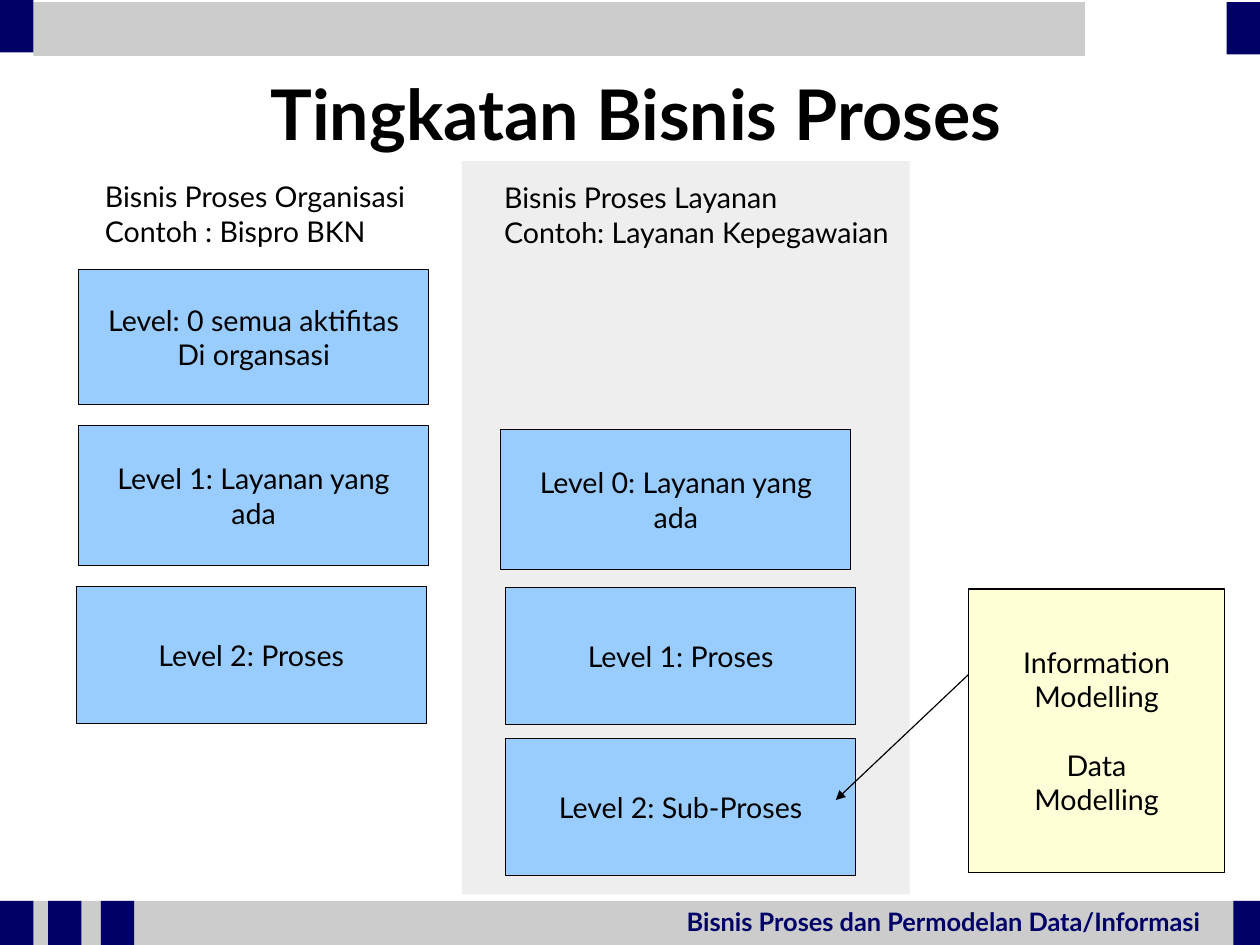
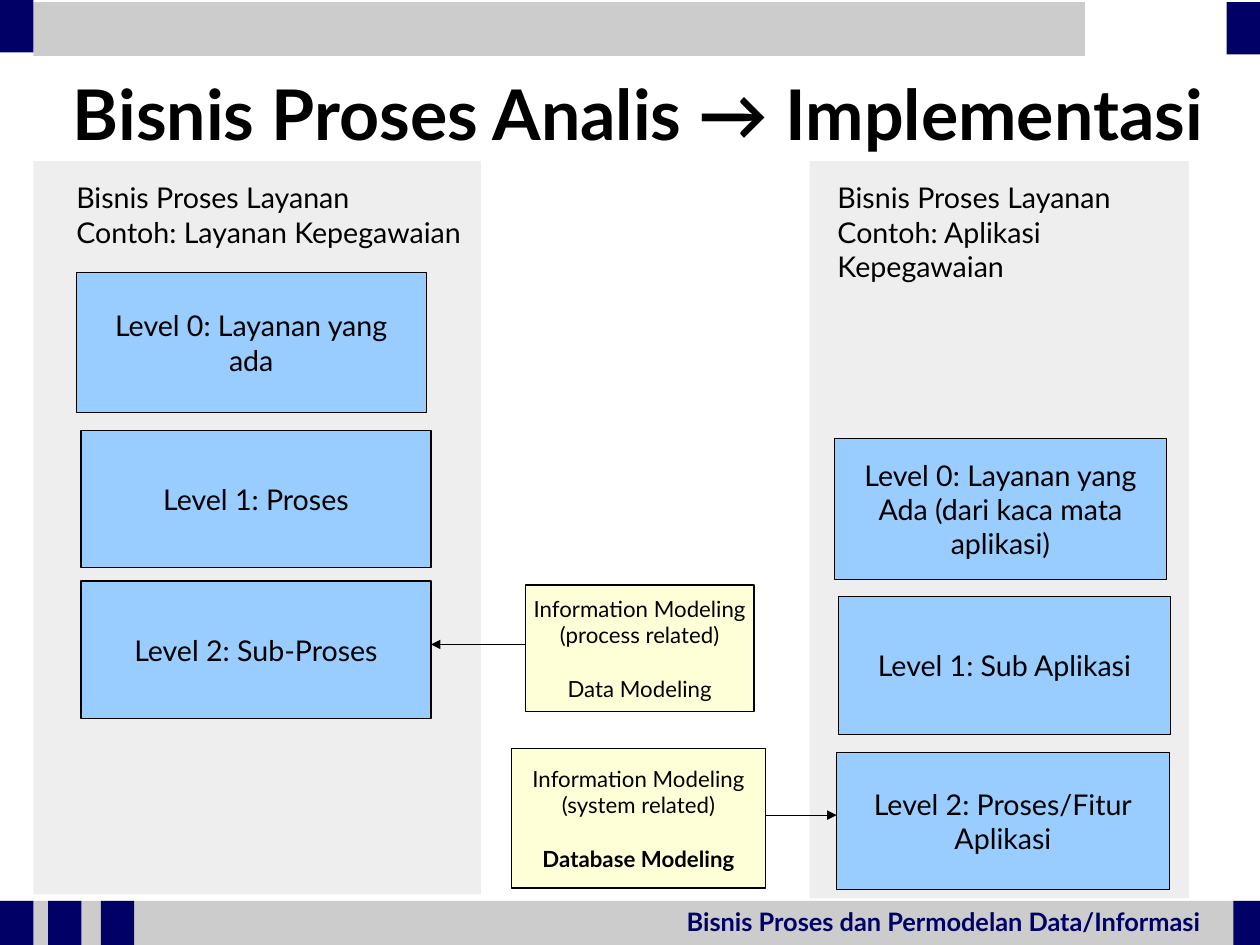
"""Builds two slides on business process levels and their modelling."""
from lxml import etree
from pptx import Presentation
from pptx.dml.color import RGBColor
from pptx.enum import shapes as kinds, text as txt
from pptx.oxml import ns
from pptx.util import Pt

FONT = "Lato"
WIDTH, HEIGHT = 793.7, 595.3
COLORS = dict(band="CCCCCC", navy="000066", panel="EEEEEE", level="99CCFF",
              note="FFFFD7", ink="000000")
FOOTER = "Bisnis Proses dan Permodelan Data/Informasi"
BAND_TOP, BAND_HEIGHT = 567.5, 27.8
BLOCKS = [
    ("band", (0, BAND_TOP, WIDTH, BAND_HEIGHT)),
    ("navy", (777, BAND_TOP, WIDTH - 777, BAND_HEIGHT)),
    *[("navy", (left, BAND_TOP, 21, BAND_HEIGHT)) for left in (0, 30.3, 63.5)],
    ("band", (21, 1.3, 662.5, 34)),
    ("navy", (WIDTH - 21, 1.3, 21, 33)),
    ("navy", (0, 0, 21, 33)),
]

ORGANISATION_LEVELS = [
    (0, 0, 85, ["Level: 0 semua aktifitas", "Di organsasi"]),
    (0, 98, 88.5, ["Level 1: Layanan yang", "ada"]),
    (-1.5, 199.5, 86.5, ["Level 2: Proses"]),
]
SERVICE_LEVELS = [
    (0, 0, 88.5, ["Level 0: Layanan yang", "ada"]),
    (3, 99.5, 86.5, ["Level 1: Proses"]),
    (3, 194.5, 86.5, ["Level 2: Sub-Proses"]),
]
APPLICATION_LEVELS = [
    (0, 0, 88.5, ["Level 0: Layanan yang", "Ada (dari kaca mata", "aplikasi)"]),
    (2.5, 99.5, 86.5, ["Level 1: Sub Aplikasi"]),
    (1.5, 197.5, 86.5, ["Level 2: Proses/Fitur", "Aplikasi"]),
]
SLIDES = [
    dict(
        title="Tingkatan Bisnis Proses", title_left=37.5, title_width=726.5,
        panels=[(291, 101.5, 282, 462)],
        headings=[
            ((59, 109.5, 215, 50), ["Bisnis Proses Organisasi", "Contoh : Bispro BKN"]),
            ((310.5, 110, 265, 72), ["Bisnis Proses Layanan", "Contoh: Layanan Kepegawaian"]),
        ],
        stacks=[(49.5, 170, 220.5, ORGANISATION_LEVELS),
                (315.5, 270.5, 220.5, SERVICE_LEVELS)],
        notes=[((610, 371, 161.5, 178.5), 18, False,
                [["Information", "Modelling"], ["Data", "Modelling"]])],
        arrows=[(610, 425, 526.5, 504)],
    ),
    dict(
        title="Bisnis Proses Analis → Implementasi", title_left=21, title_width=762.5,
        panels=[(21, 101.5, 282, 462), (510, 101.5, 239, 464.5)],
        headings=[
            ((41, 110, 265, 72), ["Bisnis Proses Layanan", "Contoh: Layanan Kepegawaian"]),
            ((520.5, 110, 197, 72), ["Bisnis Proses Layanan", "Contoh: Aplikasi Kepegawaian"]),
        ],
        stacks=[(48, 171.5, 220.5, SERVICE_LEVELS),
                (525.5, 276.5, 209.5, APPLICATION_LEVELS)],
        notes=[
            ((331, 368.5, 144, 80), 14, False,
             [["Information Modeling", "(process related)"], ["Data Modeling"]]),
            ((322, 471.5, 160.5, 88), 14, True,
             [["Information Modeling", "(system related)"], ["Database Modeling"]]),
        ],
        arrows=[(331, 406, 271.5, 406), (482.5, 513.5, 527, 513.5)],
    ),
]


def color(name):
    return RGBColor.from_string(COLORS[name])


def write(shape, groups, size=18, ink="ink", bold=False, strong_end=False,
          align=txt.PP_ALIGN.CENTER, anchor=txt.MSO_ANCHOR.MIDDLE, wrap=False,
          margins=(7.2, 3.6)):
    """Write groups of lines, parted by one line of space."""
    frame = shape.text_frame
    frame.auto_size = txt.MSO_AUTO_SIZE.NONE
    frame.word_wrap = wrap
    frame.vertical_anchor = anchor
    frame.margin_left = frame.margin_right = Pt(margins[0])
    frame.margin_top = frame.margin_bottom = Pt(margins[1])
    paragraph = frame.paragraphs[0]
    for group_no, group in enumerate(groups):
        for line_no, line in enumerate(group):
            if group_no or line_no:
                paragraph = frame.add_paragraph()
            if group_no and not line_no:
                paragraph.space_before = Pt(size * 1.2)
            paragraph.alignment = align
            run = paragraph.add_run()
            run.text = line
            run.font.name, run.font.size = FONT, Pt(size)
            run.font.bold = bold or (strong_end and group_no == len(groups) - 1)
            run.font.color.rgb = color(ink)


def add_block(slide, place, fill, outlined=False):
    block = slide.shapes.add_shape(kinds.MSO_SHAPE.RECTANGLE, *map(Pt, place))
    block.shadow.inherit = False
    block.fill.solid()
    block.fill.fore_color.rgb = color(fill)
    if outlined:
        block.line.color.rgb = color("ink")
        block.line.width = Pt(0.75)
    else:
        block.line.fill.background()
    return block


def add_label(slide, place, lines, **style):
    label = slide.shapes.add_textbox(*map(Pt, place))
    write(label, [lines], align=txt.PP_ALIGN.LEFT, anchor=txt.MSO_ANCHOR.TOP,
          wrap=True, **style)
    return label


def add_arrow(slide, ends):
    arrow = slide.shapes.add_connector(kinds.MSO_CONNECTOR.STRAIGHT, *map(Pt, ends))
    arrow.line.color.rgb = color("ink")
    arrow.line.width = Pt(0.75)
    etree.SubElement(arrow.line._get_or_add_ln(), ns.qn("a:tailEnd"), type="triangle")
    etree.SubElement(arrow.element.spPr, ns.qn("a:effectLst"))


def furnish(layout, slide):
    """Place the shared bands and footer on the layout, by way of a slide."""
    for placeholder in list(layout.placeholders):
        if placeholder.placeholder_format.type != kinds.PP_PLACEHOLDER.TITLE:
            layout.shapes.element.remove(placeholder.element)
    furniture = [add_block(slide, place, fill) for fill, place in BLOCKS]
    furniture.append(add_label(slide, (425.5, BAND_TOP, 350, 26), [FOOTER],
                               size=16, ink="navy", bold=True))
    for part in furniture:
        layout.shapes.element.append(part.element)


def fill_slide(slide, content):
    title = slide.shapes.title
    title.left, title.top = Pt(content["title_left"]), Pt(40.5)
    title.width, title.height = Pt(content["title_width"]), Pt(60.5)
    write(title, [[content["title"]]], size=44, bold=True, wrap=True, margins=(0, 0))
    for place in content["panels"]:
        add_block(slide, place, "panel")
    for place, lines in content["headings"]:
        add_label(slide, place, lines)
    for left, top, width, levels in content["stacks"]:
        for shift, drop, height, lines in levels:
            place = (left + shift, top + drop, width, height)
            write(add_block(slide, place, "level", outlined=True), [lines])
    for place, size, strong_end, groups in content["notes"]:
        write(add_block(slide, place, "note", outlined=True), groups,
              size=size, strong_end=strong_end)
    for ends in content["arrows"]:
        add_arrow(slide, ends)


def main():
    deck = Presentation()
    deck.slide_width, deck.slide_height = Pt(WIDTH), Pt(HEIGHT)
    layout = deck.slide_layouts.get_by_name("Title Only")
    slides = [deck.slides.add_slide(layout) for _ in SLIDES]
    furnish(layout, slides[0])
    for slide, content in zip(slides, SLIDES):
        fill_slide(slide, content)
    deck.save("out.pptx")


if __name__ == "__main__":
    main()
